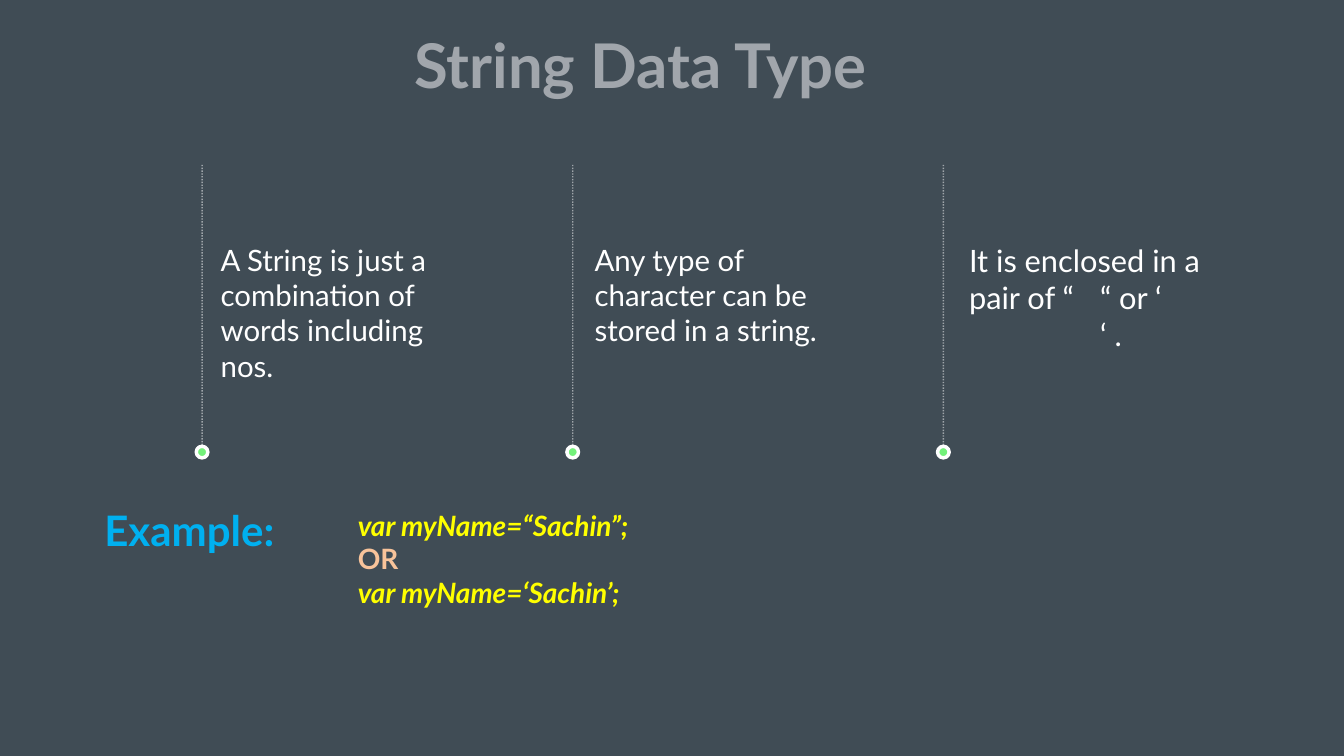
from lxml.etree import SubElement
from pptx import Presentation
from pptx.dml.color import RGBColor
from pptx.enum.dml import MSO_LINE
from pptx.enum.shapes import MSO_CONNECTOR, MSO_SHAPE
from pptx.enum.text import MSO_ANCHOR, PP_ALIGN
from pptx.oxml.ns import qn
from pptx.util import Inches, Pt

BACKGROUND = RGBColor(0x40, 0x4C, 0x55)
WHITE = RGBColor(0xFF, 0xFF, 0xFF)
GREEN = RGBColor(0x73, 0xF1, 0x7A)
GREY = RGBColor(0xA1, 0xA6, 0xAC)
BLUE = RGBColor(0x00, 0xB0, 0xF0)
YELLOW = RGBColor(0xFF, 0xFF, 0x00)
PEACH = RGBColor(0xF8, 0xC3, 0x9A)

# Content: text, size, left, width, height
TITLE = "String Data Type"
FACTS = [
    ("A String is just a combination of words including nos.", 42, 4.38, 4.87, 2.83),
    ("Any type of character can be stored in a string.", 42, 11.8, 4.8, 2.12),
    ("It is enclosed in a pair of “\t“ or ‘\v\t‘ .", 44, 19.23, 4.8, 2.22),
]
EXAMPLE_LABEL = "Example:"
EXAMPLE = [
    ("var myName=“Sachin”;", YELLOW, True),
    ("OR", PEACH, False),
    ("var myName=‘Sachin’;", YELLOW, True),
]

# Layout in inches
FIRST_X, PITCH = 4.01, 7.355
LINE_TOP, LINE_BOTTOM, DOT_Y, DOT = 3.26, 9, 8.97, 0.23
FACT_TOP = 4.8
QUOTE_TAB = 2.6
PAD = 0.08

prs = Presentation()
prs.slide_width, prs.slide_height = Inches(26.67), Inches(15)
s = prs.slides.add_slide(prs.slide_layouts[6])
s.background.fill.solid()
s.background.fill.fore_color.rgb = BACKGROUND


def add_text(box, lines, inset=PAD, anchor=MSO_ANCHOR.MIDDLE, align=PP_ALIGN.LEFT):
    """Add a text box; lines holds (text, font values) pairs."""
    tf = s.shapes.add_textbox(*map(Inches, box)).text_frame
    tf.word_wrap = True
    tf.vertical_anchor = anchor
    for side in ("left", "right", "top", "bottom"):
        setattr(tf, f"margin_{side}", Inches(inset))
    for i, (text, values) in enumerate(lines):
        p = tf.add_paragraph() if i else tf.paragraphs[0]
        p.text = text
        p.alignment = align
        for r in p.runs:
            r.font.name = "Lato"
            r.font.color.rgb = values["color"]
            for key in ("size", "bold", "italic"):
                setattr(r.font, key, values.get(key))
    return tf


# Dotted lines, each ending in a dot
for i in range(len(FACTS)):
    x = FIRST_X + i * PITCH
    line = s.shapes.add_connector(MSO_CONNECTOR.STRAIGHT, Inches(x), Inches(LINE_BOTTOM),
                                  Inches(x), Inches(LINE_TOP))
    line.line.color.rgb = WHITE
    line.line.width = Pt(2)
    line.line.dash_style = MSO_LINE.ROUND_DOT
    sp_pr = line._element.spPr
    SubElement(next(sp_pr.iter(qn("a:srgbClr"))), qn("a:alpha"), val="50000")
    SubElement(sp_pr, qn("a:effectLst"))

    dot = s.shapes.add_shape(MSO_SHAPE.OVAL, Inches(x - DOT / 2), Inches(DOT_Y - DOT / 2),
                             Inches(DOT), Inches(DOT))
    dot.shadow.inherit = False
    dot.fill.solid()
    dot.fill.fore_color.rgb = GREEN
    dot.line.color.rgb = WHITE
    dot.line.width = Pt(5)

# Facts; a tab stop makes the gap between the quote marks
for text, size, left, width, height in FACTS:
    tf = add_text((left, FACT_TOP, width, height),
                  [(text, {"size": Pt(size), "color": WHITE})], 0, MSO_ANCHOR.TOP)
    if "\t" in text:
        tabs = SubElement(tf.paragraphs[0]._p.get_or_add_pPr(), qn("a:tabLst"))
        SubElement(tabs, qn("a:tab"), pos=str(Inches(QUOTE_TAB)), algn="l")

# Title and example
add_text((0.49, 0.44, 24.43, 1.64),
         [(TITLE, {"size": Pt(88), "color": GREY, "bold": True})], align=PP_ALIGN.CENTER)
add_text((1.99, 9.93, 4.8, 1.17),
         [(EXAMPLE_LABEL, {"size": Pt(60), "color": BLUE, "bold": True})])
add_text((7.02, 10, 7.27, 2.2),
         [(text, {"size": Pt(40), "color": color, "bold": True, "italic": italic})
          for text, color, italic in EXAMPLE], anchor=MSO_ANCHOR.TOP)

prs.save("out.pptx")
